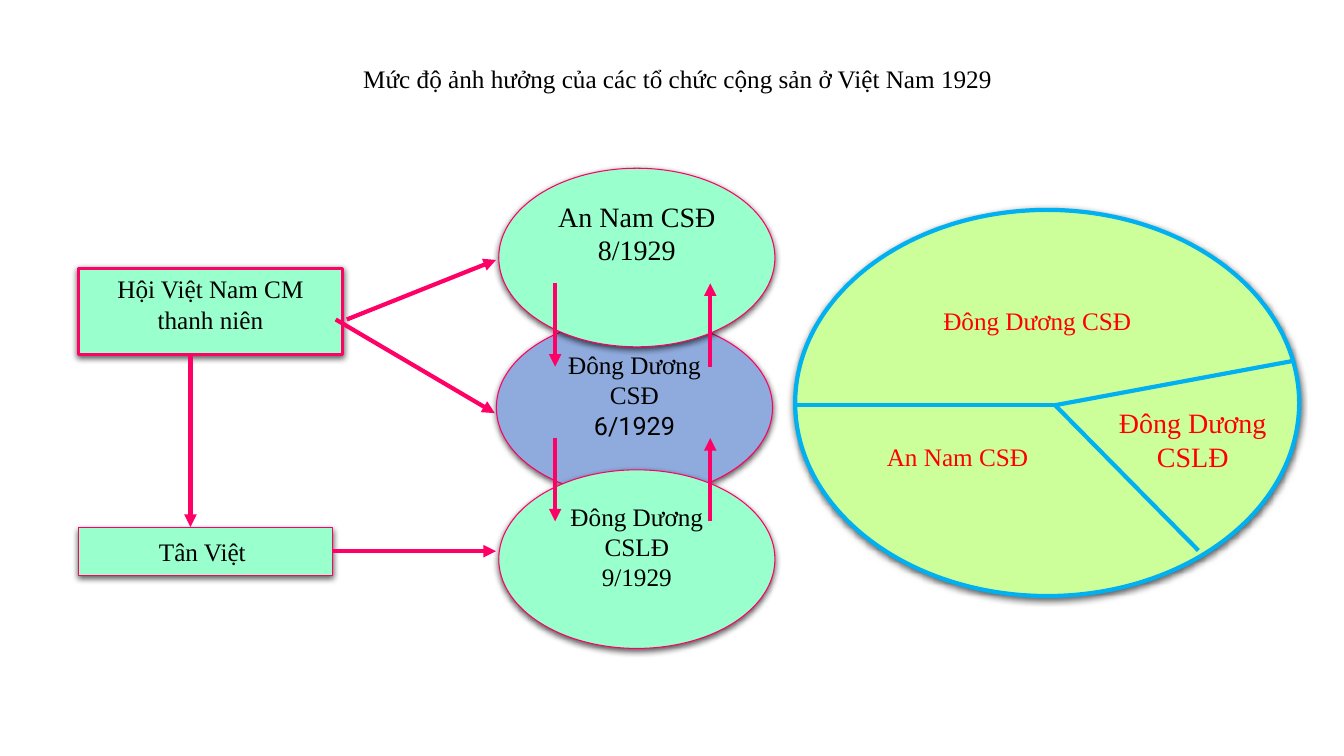
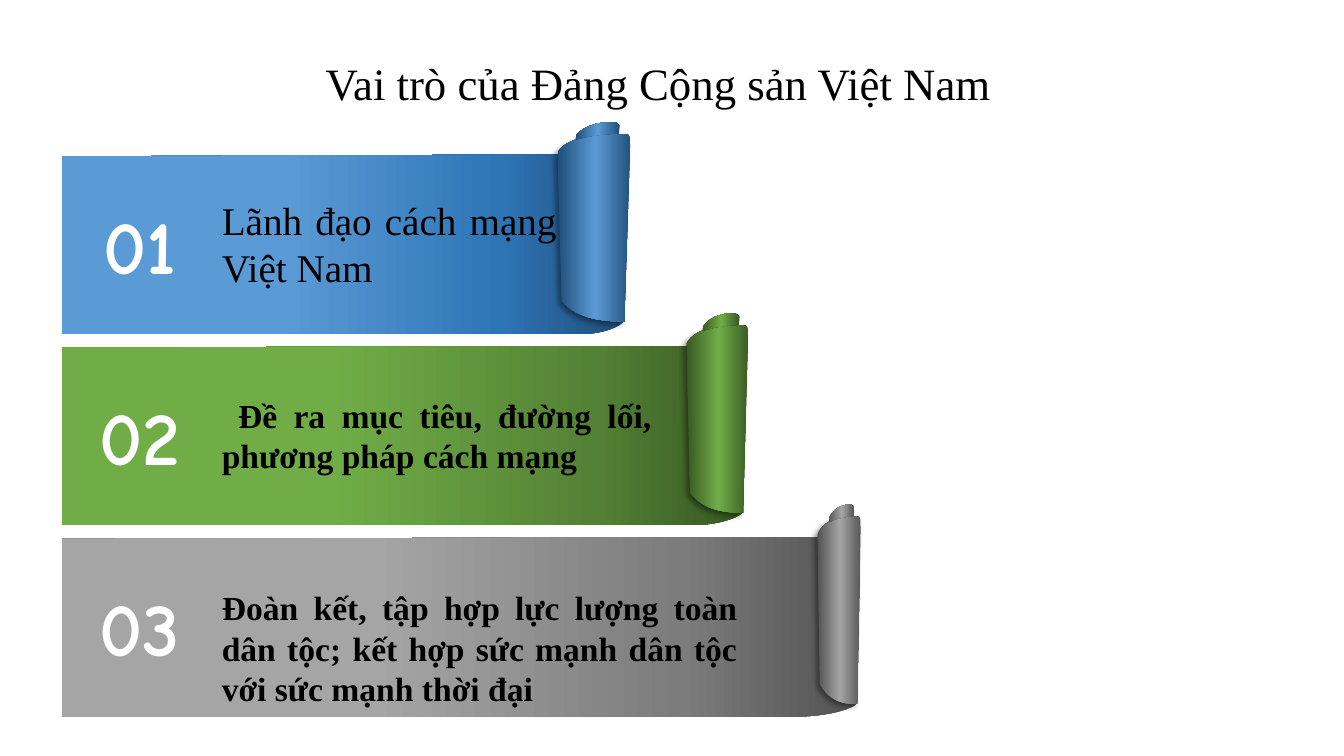
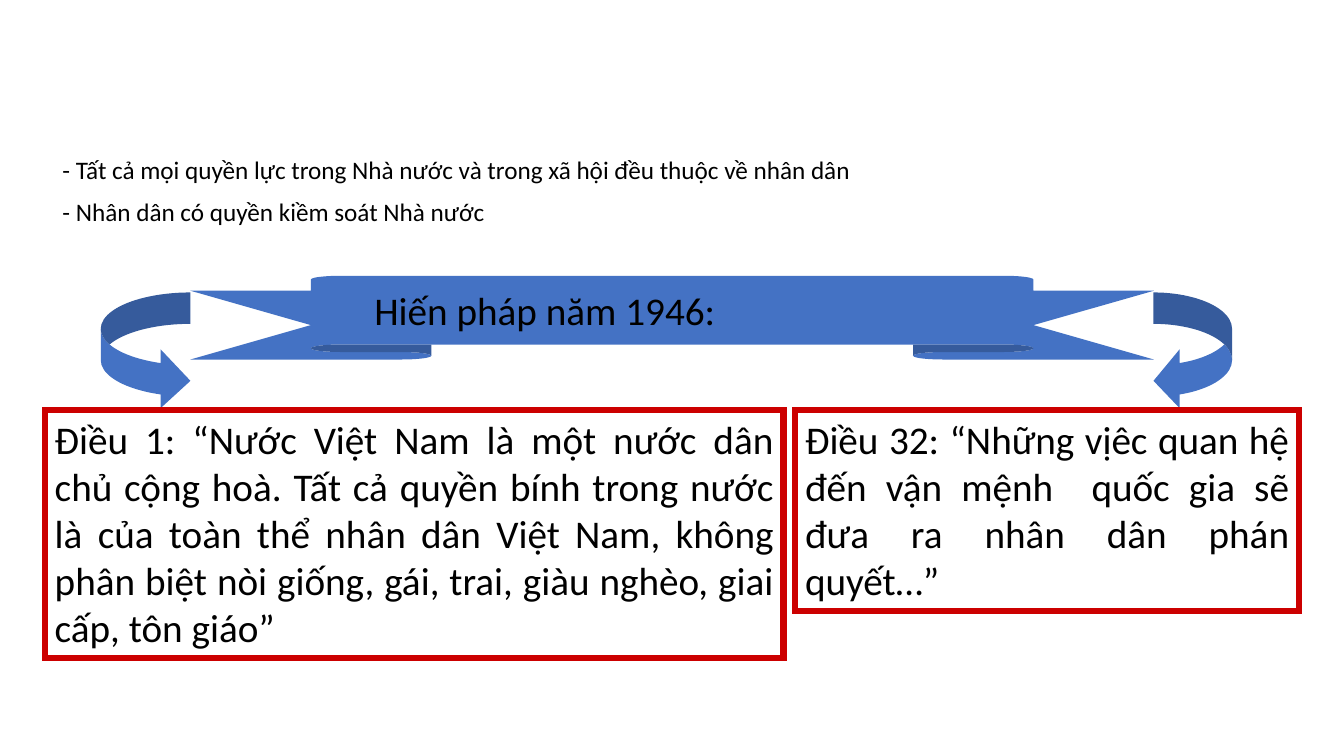
from copy import deepcopy

from lxml.etree import SubElement
from pptx import Presentation
from pptx.dml.color import RGBColor
from pptx.enum.shapes import MSO_CONNECTOR, MSO_SHAPE as Preset
from pptx.enum.text import MSO_ANCHOR as Anchor, MSO_AUTO_SIZE as AutoSize, PP_ALIGN as Align
from pptx.oxml.ns import qn
from pptx.util import Cm, Pt

SERIF = "Times New Roman"
SANS = "Calibri"
BLACK, WHITE, RED = "000000", "FFFFFF", "FF0000"
PINK, MINT, SKY, BLUE = "FF0066", "99FFCC", "00B0F0", "4472C4"
SOFT_SHADOW = (63, 4.5, 1.5, 90)
CURL_SHADOW = (40, 4, 3, 135)
rgb = RGBColor.from_string


def write(shape, text, size, font=SERIF, color=BLACK, bold=False, align=Align.CENTER, anchor=Anchor.TOP):
    frame = shape.text_frame
    frame.text = text
    frame.word_wrap = True
    frame.auto_size = AutoSize.NONE
    frame.vertical_anchor = anchor
    for paragraph in frame.paragraphs:
        paragraph.alignment = align
        for run in paragraph.runs:
            run.font.name = font
            run.font.size = Pt(size)
            run.font.bold = bold
            run.font.color.rgb = rgb(color)


def paint(shape, fill=None, line=None, width=0.75, shadow=None):
    if fill is None:
        shape.fill.background()
    elif isinstance(fill, str):
        shape.fill.solid()
        shape.fill.fore_color.rgb = rgb(fill)
    else:
        shape.fill.gradient()
        shape.fill.gradient_angle = 180
        stop_list = shape._element.xpath(".//a:gsLst")[0]
        stop_list.append(deepcopy(stop_list[0]))
        for stop, (position, color) in zip(shape.fill.gradient_stops, fill):
            stop.position = position
            stop.color.rgb = rgb(color)
    if line:
        shape.line.color.rgb = rgb(line)
        shape.line.width = Pt(width)
    else:
        shape.line.fill.background()
    shape.shadow.inherit = False
    if shadow:
        alpha, blur, distance, angle = shadow
        effects = shape._element.spPr.find(qn("a:effectLst"))
        outer = SubElement(effects, qn("a:outerShdw"), blurRad=str(Pt(blur)), dist=str(Pt(distance)),
                           dir=str(angle * 60000), algn="ctr", rotWithShape="0")
        tint = SubElement(outer, qn("a:srgbClr"), val=BLACK)
        SubElement(tint, qn("a:alpha"), val=str(alpha * 1000))


presentation = Presentation()
presentation.slide_width = Cm(33.87)
presentation.slide_height = Cm(19.05)
body_layout = presentation.slide_layouts[1]
title_layout = presentation.slide_layouts[5]

slide = presentation.slides.add_slide(title_layout)
title = slide.shapes.title
title.left, title.top, title.width, title.height = Cm(8.9), Cm(1.47), Cm(22.45), Cm(1.02)
write(title, "Mức độ ảnh hưởng của các tổ chức cộng sản ở Việt Nam 1929", 18, align=Align.LEFT)

organisations = [
    (Preset.RECTANGLE, 1.98, 6.77, 6.65, 2.16, MINT, 2.25, "Hội Việt Nam CM thanh niên", 18, Anchor.TOP),
    (Preset.OVAL, 12.51, 8.02, 6.96, 4.5, "8FAADC", 0.75, "Đông Dương CSĐ\n6/1929", 18, Anchor.TOP),
    (Preset.RECTANGLE, 1.98, 13.3, 6.4, 1.2, MINT, 0.75, "Tân Việt ", 18, Anchor.MIDDLE),
    (Preset.OVAL, 12.57, 11.84, 6.96, 4.5, MINT, 0.75, "Đông Dương CSLĐ\n9/1929", 18, Anchor.TOP),
    (Preset.OVAL, 12.57, 4.24, 6.96, 4.5, MINT, 0.75, "An Nam CSĐ\n8/1929", 20, Anchor.TOP),
]
for preset, left, top, width, height, fill, border, text, size, anchor in organisations:
    shape = slide.shapes.add_shape(preset, Cm(left), Cm(top), Cm(width), Cm(height))
    paint(shape, fill, PINK, border, SOFT_SHADOW)
    write(shape, text, size, anchor=anchor)
    for paragraph in shape.text_frame.paragraphs:
        if paragraph.text == "6/1929":
            paragraph.runs[0].font.name = "Roboto"

influence = slide.shapes.add_shape(Preset.OVAL, Cm(20.04), Cm(5.29), Cm(12.7), Cm(9.73))
paint(influence, "CCFF99", SKY, 3, SOFT_SHADOW)

arrows = [
    (8.46, 8.05, 12.47, 10.41),
    (8.38, 13.89, 12.5, 13.89),
    (8.74, 8.05, 12.5, 6.55),
    (4.8, 8.89, 4.8, 13.28),
]
for top in (7.14, 11.04):
    arrows += [(13.99, top, 13.99, top + 2.1), (17.9, top + 2.1, 17.9, top)]
dividers = [(x, y, 26.59, 10.21) for x, y in ((20.04, 10.21), (32.61, 9.09), (30.2, 13.87))]
for color, lines in ((PINK, arrows), (SKY, dividers)):
    for start_x, start_y, end_x, end_y in lines:
        connector = slide.shapes.add_connector(
            MSO_CONNECTOR.STRAIGHT, Cm(start_x), Cm(start_y), Cm(end_x), Cm(end_y))
        connector.line.color.rgb = rgb(color)
        connector.line.width = Pt(3)
        if color == PINK:
            SubElement(connector.line._get_or_add_ln(), qn("a:tailEnd"), type="triangle")
        SubElement(connector._element.spPr, qn("a:effectLst"))

sectors = [
    (21.21, 7.04, 9.86, 2.06, "Đông Dương CSĐ", 18, Anchor.MIDDLE),
    (21.45, 11, 5.36, 1.02, "An Nam CSĐ", 18, Anchor.TOP),
    (27.1, 10.1, 5.92, 1.96, "Đông Dương CSLĐ", 20, Anchor.TOP),
]
for left, top, width, height, text, size, anchor in sectors:
    label = slide.shapes.add_textbox(Cm(left), Cm(top), Cm(width), Cm(height))
    write(label, text, size, color=RED, anchor=anchor)

slide = presentation.slides.add_slide(title_layout)
title = slide.shapes.title
title.left, title.top, title.width, title.height = Cm(7.87), Cm(1.27), Cm(17.73), Cm(1.63)
write(title, "Vai trò của Đảng Cộng sản Việt Nam ", 32, anchor=Anchor.MIDDLE)

band_outline = [
    [(0, 0.05)], [(0, 4.53)], [(0.92, 4.53)],
    [(0.96, 4.53), (0.99, 4.37), (1, 4.22)],
    [(1, 2.8), (0.99, 1.4), (0.99, 0)],
]
curl_outline = [
    [(0.92, 4.74)],
    [(0.67, 4.72), (0.29, 4.7), (0.06, 4.22)],
    [(0, 0.46)],
    [(0.15, 0.03), (0.67, 0), (0.93, 0)],
    [(1.04, 0.03), (0.97, 0.18), (1, 0.28)],
]
tip_outline = [
    [(0, 0.46)], [(0.02, 0.33)],
    [(0.25, 0.03), (0.7, 0), (0.84, 0)],
    [(0.91, 0), (1, 0.05), (1, 0.1)],
    [(0.98, 0.3)],
    [(0.73, 0.3), (0.34, 0.33), (0, 0.46)],
]
bands = [
    (14.15, 14.05, 1.83, 14.5, 1.12, ("1F4E79", "2E75B6", "5B9BD5"),
     "Lãnh đạo cách mạng Việt Nam", 28, False, 8.94, 4.81, 2.64),
    (17.15, 17.3, 1.55, 17.7, 0.94, ("385723", "548235", "70AD47"),
     " Đề ra mục tiêu, đường lối, phương pháp cách mạng ", 24, True, 11.33, 9.8, 2.31),
    (20.02, 20.6, 1.09, 20.88, 0.66, ("525252", "7C7C7C", "A5A5A5"),
     "Đoàn kết, tập hợp lực lượng toàn dân tộc; kết hợp sức mạnh dân tộc với sức mạnh thời đại",
     24, True, 13.49, 14.62, 3.4),
]
for index, band in enumerate(bands):
    (band_width, curl_left, curl_width, tip_left, tip_width, (dark, middle, light),
     text, size, bold, text_width, text_top, text_height) = band
    top = 3.89 + index * 4.82
    flat = [(0, dark), (0.22, middle), (0.61, light)]
    rolled = [(0, dark), (0.5, light), (1, dark)]
    pieces = [
        (band_outline, 1.57, top, band_width, flat, None),
        (curl_outline, curl_left, top - 0.52, curl_width, rolled, CURL_SHADOW),
        (tip_outline, tip_left, top - 0.82, tip_width, rolled, None),
    ]
    for outline, left, piece_top, width, fill, shadow in pieces:
        corners = [(Cm(left + x * width), Cm(piece_top + y)) for segment in outline for x, y in segment]
        builder = slide.shapes.build_freeform(*corners[0])
        builder.add_line_segments(corners[1:], close=True)
        piece = builder.convert_to_shape()
        steps = iter(piece._element.xpath(".//a:lnTo"))
        for segment in outline[1:]:
            first, *rest = [next(steps) for point in segment]
            if rest:
                first.tag = qn("a:cubicBezTo")
            for step in rest:
                first.append(step[0])
                step.getparent().remove(step)
        paint(piece, fill, shadow=shadow)

    number = slide.shapes.add_textbox(Cm(2.09), Cm(top + 0.97), Cm(2.87), Cm(2.57))
    write(number, f"{index + 1:02}", 54, "Comic Neue", WHITE, True, anchor=Anchor.MIDDLE)
    role = slide.shapes.add_textbox(Cm(5.34), Cm(text_top), Cm(text_width), Cm(text_height))
    write(role, text, size, bold=bold, align=Align.JUSTIFY, anchor=Anchor.MIDDLE)

slide = presentation.slides.add_slide(body_layout)
empty_title = slide.shapes.title._element
empty_title.getparent().remove(empty_title)
body = slide.placeholders[1]
body.left, body.top, body.width, body.height = Cm(1.32), Cm(3.76), Cm(30.76), Cm(2.18)
write(body, "- Tất cả mọi quyền lực trong Nhà nước và trong xã hội đều thuộc về nhân dân\n"
            "- Nhân dân có quyền kiềm soát Nhà nước", 18, SANS, align=Align.JUSTIFY)
for index, paragraph in enumerate(body.text_frame.paragraphs):
    properties = paragraph._p.get_or_add_pPr()
    properties.set("marL", "0")
    properties.set("indent", "0")
    SubElement(properties, qn("a:buNone"))
    paragraph.space_before = Pt(8.5 * index)

decorations = [
    (Preset.UP_RIBBON, 4.8, 6.95, 24.28, 2.11, (0.179, 0.75)),
    (Preset.CURVED_RIGHT_ARROW, 2.54, 7.37, 2.26, 2.97, (0.35, 0.7, 0.333)),
    (Preset.CURVED_LEFT_ARROW, 29.07, 7.37, 1.98, 2.97, (0.4, 0.8, 0.333)),
]
for preset, left, top, width, height, adjustments in decorations:
    shape = slide.shapes.add_shape(preset, Cm(left), Cm(top), Cm(width), Cm(height))
    for index, value in enumerate(adjustments):
        shape.adjustments[index] = value
    paint(shape, BLUE)
    if preset == Preset.UP_RIBBON:
        write(shape, "Hiến pháp năm 1946:", 28, SANS, align=Align.LEFT, anchor=Anchor.MIDDLE)
        shape.text_frame.margin_left = Cm(1.6)

articles = [
    (1.13, 18.62, 6.25, "Điều 1: “Nước Việt Nam là một nước dân chủ cộng hoà. Tất cả quyền bính trong nước "
     "là của toàn thể nhân dân Việt Nam, không phân biệt nòi giống, gái, trai, giàu nghèo, "
     "giai cấp, tôn giáo”"),
    (20.04, 12.7, 5.05, "Điều 32: “Những vịêc quan hệ đến vận mệnh  quốc gia sẽ đưa ra nhân dân phán quyết…”"),
]
for left, width, height, text in articles:
    article = slide.shapes.add_shape(Preset.RECTANGLE, Cm(left), Cm(10.34), Cm(width), Cm(height))
    paint(article, line="CC0000", width=4.5)
    SubElement(article.line._get_or_add_ln(), qn("a:miter"), lim="800000")
    write(article, text, 28, SANS, align=Align.JUSTIFY)

presentation.save("out.pptx")
